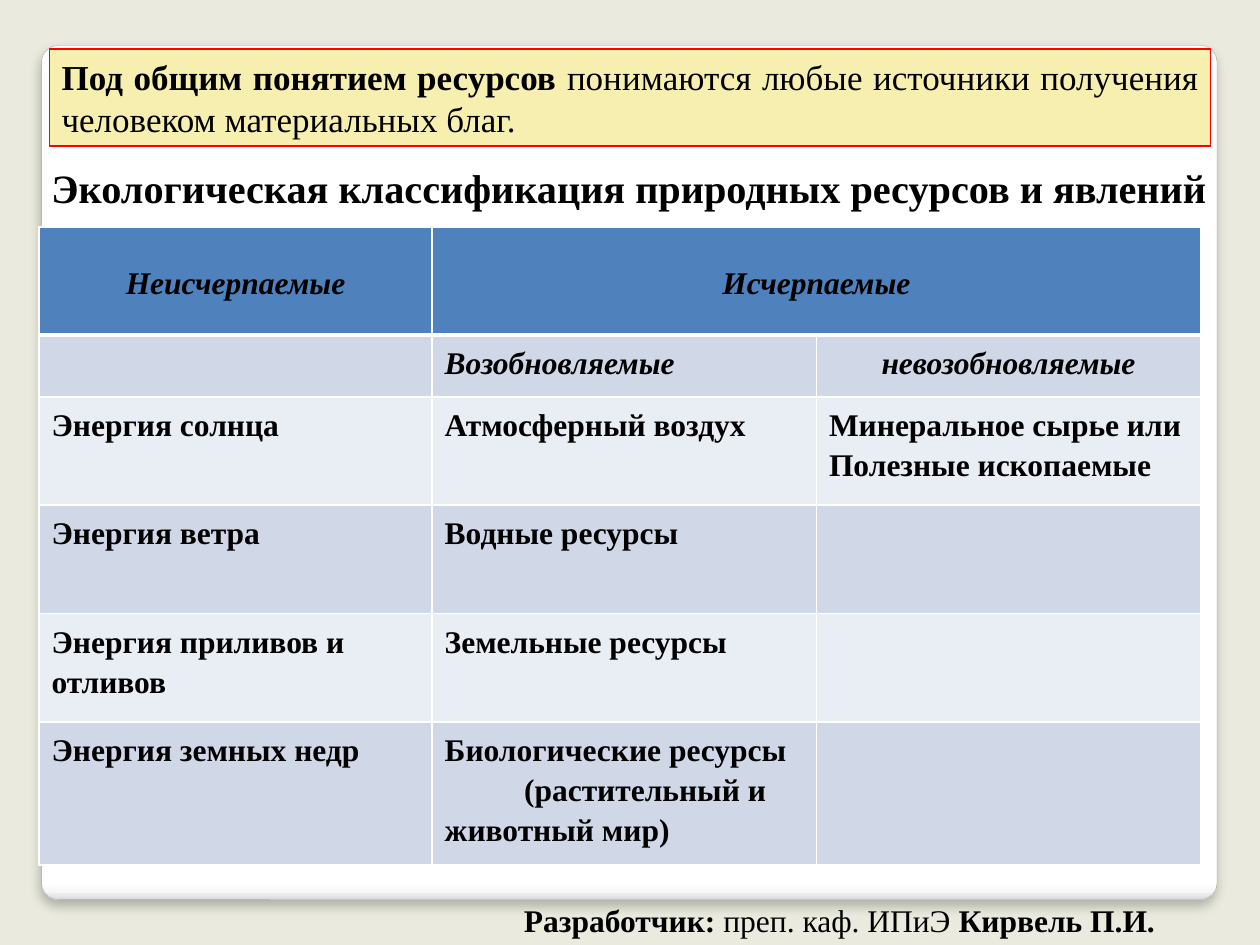
from dataclasses import dataclass

from lxml import etree
from pptx import Presentation
from pptx.dml.color import RGBColor
from pptx.enum.shapes import MSO_SHAPE
from pptx.enum.text import MSO_ANCHOR, PP_ALIGN
from pptx.oxml import parse_xml
from pptx.oxml.ns import nsdecls, qn
from pptx.util import Inches, Pt


@dataclass(frozen=True)
class Theme:
    font: str = "Times New Roman"
    background: str = "EAEBDE"
    text: str = "000000"
    white: str = "FFFFFF"
    panel_line: str = "A4A4A4"
    panel_stops: tuple = ((0, "FFFFFF"), (98, "FFFFFF"), (99, "F7F7F7"), (100, "DADADA"))
    note_fill: str = "F7EFAF"
    note_line: str = "FF0000"
    header: str = "4F81BD"
    bands: tuple = ("D0D8E8", "E9EDF4")
    heading_size: int = 23
    note_size: int = 20
    body_size: int = 18


def rgb(value):
    return RGBColor.from_string(value)


class SlideBuilder:
    def __init__(self, slide, theme):
        self.s = slide
        self.t = theme
        fill = slide.background.fill
        fill.solid()
        fill.fore_color.rgb = rgb(theme.background)

    def add_runs(self, p, runs, size, italic=False):
        """Fill a paragraph from (text, bold) pairs."""
        for text, bold in runs:
            r = p.add_run()
            r.text = text
            font = r.font
            font.name, font.size = self.t.font, Pt(size)
            font.bold, font.italic = bold, italic
            font.color.rgb = rgb(self.t.text)

    def shape(self, kind, box, fill, line, width):
        sp = self.s.shapes.add_shape(kind, *map(Inches, box))
        sp.fill.solid()
        sp.fill.fore_color.rgb = rgb(fill)
        sp.line.color.rgb = rgb(line)
        sp.line.width = Pt(width)
        sp.shadow.inherit = False
        return sp

    def panel(self, box):
        """Rounded backdrop with a shaded lower edge and a soft shadow."""
        sp = self.shape(MSO_SHAPE.ROUNDED_RECTANGLE, box, self.t.white, self.t.panel_line, 0.16)
        sp.adjustments[0] = 0.02
        sp.fill.gradient()
        sp.fill.gradient_angle = 270
        props = sp._element.spPr
        stops = props.find(".//" + qn("a:gsLst"))
        for stop in list(stops):
            stops.remove(stop)
        for position, color in self.t.panel_stops:
            stop = etree.SubElement(stops, qn("a:gs"), pos=str(position * 1000))
            etree.SubElement(stop, qn("a:srgbClr"), val=color)
        props.find(qn("a:effectLst")).append(parse_xml(
            f'<a:outerShdw {nsdecls("a")} blurRad="{Pt(6)}" dist="{Pt(4)}" dir="5400000"'
            ' algn="t" rotWithShape="0"><a:srgbClr val="000000">'
            '<a:alpha val="25000"/></a:srgbClr></a:outerShdw>'))

    def note(self, box, runs):
        sp = self.shape(MSO_SHAPE.RECTANGLE, box, self.t.note_fill, self.t.note_line, 0.75)
        tf = sp.text_frame
        tf.word_wrap = True
        tf.vertical_anchor = MSO_ANCHOR.MIDDLE
        p = tf.paragraphs[0]
        p.alignment = PP_ALIGN.JUSTIFY
        self.add_runs(p, runs, self.t.note_size)

    def text(self, box, runs, size):
        tf = self.s.shapes.add_textbox(*map(Inches, box)).text_frame
        tf.word_wrap = True
        self.add_runs(tf.paragraphs[0], runs, size)

    def borders(self, cell, top, bottom):
        props = cell._tc.get_or_add_tcPr()
        for i, (side, width) in enumerate((("L", 1), ("R", 1), ("T", top), ("B", bottom))):
            props.insert(i, parse_xml(
                f'<a:ln{side} {nsdecls("a")} w="{Pt(width)}"><a:solidFill>'
                f'<a:srgbClr val="{self.t.white}"/></a:solidFill></a:ln{side}>'))

    def cell(self, cell, text, row, centered):
        """Fill one cell; each later line of the text starts indented."""
        cell.fill.solid()
        cell.fill.fore_color.rgb = rgb(self.t.bands[(row - 1) % 2] if row else self.t.header)
        self.borders(cell, 3 if row == 1 else 1, 1 if row else 3)
        cell.vertical_anchor = MSO_ANCHOR.TOP if row else MSO_ANCHOR.MIDDLE
        if not text:
            return
        lines = text.split("\n")
        tf = cell.text_frame
        for i, line in enumerate(lines):
            p = tf.add_paragraph() if i else tf.paragraphs[0]
            p.alignment = PP_ALIGN.CENTER if centered else PP_ALIGN.LEFT
            p.line_spacing = 1.15
            p.space_after = Pt(10 if i == len(lines) - 1 else 0)
            if i:
                p._p.get_or_add_pPr().set("indent", str(Inches(0.63)))
            self.add_runs(p, [(line, True)], self.t.body_size, italic=row < 2)

    def table(self, left, top, widths, heights, rows):
        table = self.s.shapes.add_table(
            len(rows), len(widths), Inches(left), Inches(top),
            Inches(sum(widths)), Inches(sum(heights))).table
        table.first_row = table.horz_banding = False
        for column, width in zip(table.columns, widths):
            column.width = Inches(width)
        for row, height in zip(table.rows, heights):
            row.height = Inches(height)
        for i, row in enumerate(rows):
            for j, text in enumerate(row):
                self.cell(table.cell(i, j), text, i, i == 0 or (i, j) == (1, 2))
        table.cell(0, 1).merge(table.cell(0, 2))


RESOURCES = [
    ("Неисчерпаемые", "Исчерпаемые", ""),
    ("", "Возобновляемые", "невозобновляемые"),
    ("Энергия солнца", "Атмосферный воздух", "Минеральное сырье или Полезные ископаемые"),
    ("Энергия ветра", "Водные ресурсы", ""),
    ("Энергия приливов и отливов", "Земельные ресурсы", ""),
    ("Энергия земных недр", "Биологические ресурсы\n(растительный и животный мир)", ""),
]


def main():
    prs = Presentation()
    prs.slide_width, prs.slide_height = Inches(10), Inches(7.5)
    theme = Theme()
    slide = SlideBuilder(prs.slides.add_slide(prs.slide_layouts[6]), theme)

    slide.panel((0.33, 0.36, 9.33, 6.78))
    slide.note((0.39, 0.39, 9.22, 0.77), [
        ("Под общим понятием ресурсов ", True),
        ("понимаются любые источники получения человеком материальных благ.", False)])
    slide.text((0.31, 1.25, 9.53, 0.48),
               [("Экологическая классификация природных ресурсов и явлений", True)],
               theme.heading_size)
    slide.table(0.31, 1.8, (3.12, 3.05, 3.05),
                (0.86, 0.49, 0.86, 0.86, 0.86, 1.13), RESOURCES)
    slide.text((4.06, 7.1, 5.55, 0.4), [
        ("Разработчик: ", True), ("преп. каф. ИПиЭ ", False), ("Кирвель П.И.", True)],
        theme.body_size)

    prs.save("out.pptx")


if __name__ == "__main__":
    main()
